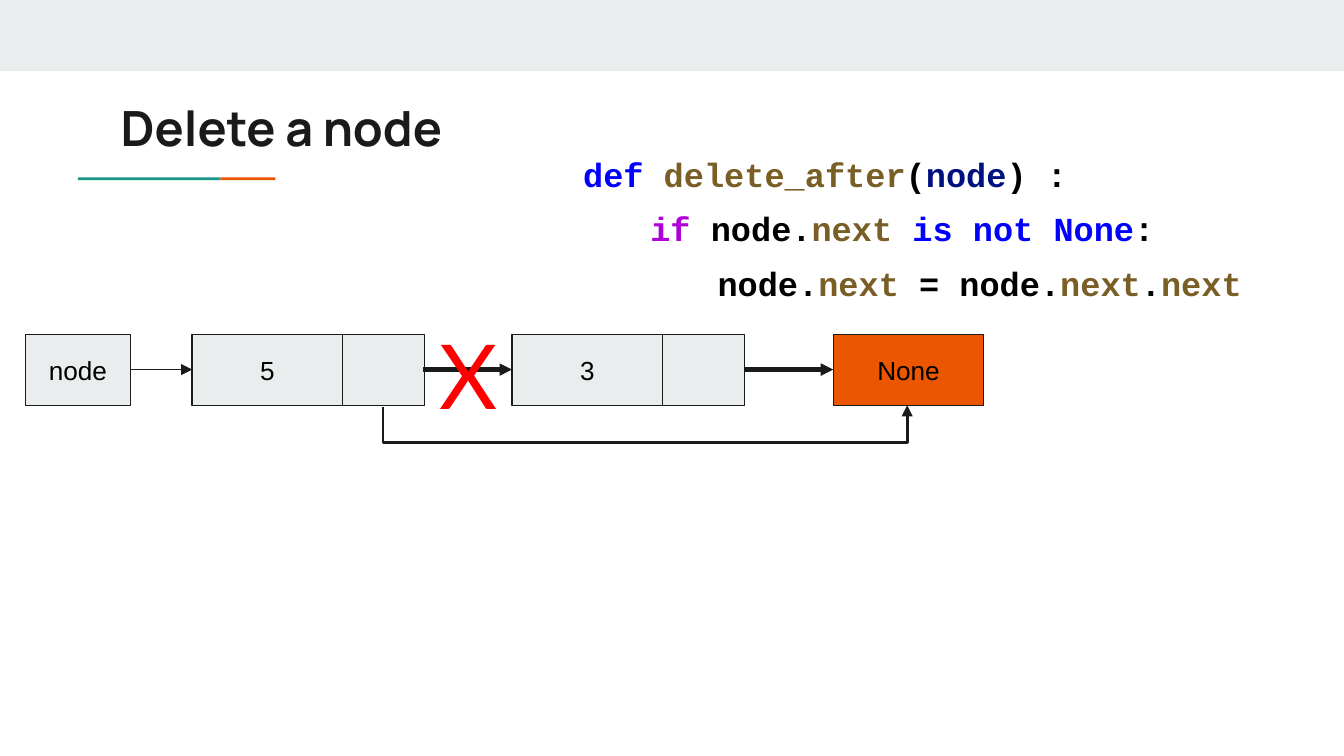
from pptx import Presentation
from pptx.dml.color import RGBColor as Color
from pptx.enum.shapes import MSO_CONNECTOR as Link, MSO_SHAPE as Shape
from pptx.enum.text import MSO_ANCHOR as Anchor, PP_ALIGN as Align
from pptx.oxml.ns import qn
from pptx.util import Inches, Pt
from lxml.etree import SubElement

INK = Color(0x1A, 0x1A, 0x1A)
BLACK = Color(0, 0, 0)
GREY = Color(0xE9, 0xED, 0xEE)
ORANGE = Color(0xEB, 0x56, 0x00)
TEAL = Color(0x1A, 0x99, 0x88)
RED = Color(0xFF, 0, 0)
BLUE = Color(0, 0, 0xFF)
BROWN = Color(0x79, 0x5E, 0x26)
NAVY = Color(0, 0x10, 0x80)
PURPLE = Color(0xAF, 0, 0xDB)

PAGE_WIDTH = 10
PAGE_HEIGHT = PAGE_WIDTH * 9 / 16
NODE_TOP, NODE_HEIGHT = 2.49, 0.53
VALUE_WIDTH, LINK_WIDTH = 1.12, 0.61
ARROW_Y = 2.75
CODE = [
    (0, 0, [("def", BLUE), (" ", BLACK), ("delete_after", BROWN), ("(", BLACK),
            ("node", NAVY), (") :", BLACK)]),
    (0, 0.5, [("if", PURPLE), (" node.", BLACK), ("next", BROWN), (" ", BLACK),
              ("is", BLUE), (" ", BLACK), ("not", BLUE), (" ", BLACK),
              ("None", BLUE), (":", BLACK)]),
    (0.5, 0.5, [("node.", BLACK), ("next", BROWN), (" = node.", BLACK),
                ("next", BROWN), (".", BLACK), ("next", BROWN)]),
]


def add_span(para, text, *, font="Arial", size=14, color=BLACK, bold=False):
    span = para.add_run()
    span.text = text
    span.font.name = font
    span.font.size = Pt(size)
    span.font.color.rgb = color
    span.font.bold = bold


class Painter:
    """Draws styled elements on the current slide."""

    def __init__(self, page):
        self.page = page

    def frame(self, box, anchor):
        frame = box.text_frame
        frame.word_wrap = True
        frame.vertical_anchor = anchor
        frame.margin_left = frame.margin_right = Inches(0.1)
        frame.margin_top = frame.margin_bottom = Inches(0.1)
        return frame

    def rect(self, left, top, width, height, fill, text="", outlined=False):
        box = self.page.shapes.add_shape(
            Shape.RECTANGLE, Inches(left), Inches(top), Inches(width), Inches(height))
        box.shadow.inherit = False
        box.fill.solid()
        box.fill.fore_color.rgb = fill
        if outlined:
            box.line.color.rgb = INK
            box.line.width = Pt(0.75)
        else:
            box.line.fill.background()
        if text:
            para = self.frame(box, Anchor.MIDDLE).paragraphs[0]
            para.alignment = Align.CENTER
            add_span(para, text)

    def cell(self, left, width, text="", fill=GREY):
        self.rect(left, NODE_TOP, width, NODE_HEIGHT, fill, text, outlined=True)

    def node(self, left, value):
        self.cell(left, VALUE_WIDTH, value)
        self.cell(left + VALUE_WIDTH, LINK_WIDTH)

    def text_box(self, left, top, width, height):
        box = self.page.shapes.add_textbox(
            Inches(left), Inches(top), Inches(width), Inches(height))
        return self.frame(box, Anchor.TOP)

    def label(self, left, top, width, height, text, **style):
        add_span(self.text_box(left, top, width, height).paragraphs[0], text, **style)

    def code(self, left, top, width, height, lines):
        frame = self.text_box(left, top, width, height)
        for number, (margin, indent, spans) in enumerate(lines):
            para = frame.add_paragraph() if number else frame.paragraphs[0]
            para.line_spacing = 1.35
            props = para._p.get_or_add_pPr()
            props.set("marL", str(Inches(margin)))
            props.set("indent", str(Inches(indent)))
            for text, color in spans:
                add_span(para, text, font="Courier New", size=18, color=color, bold=True)

    def arrow(self, start, end, weight, kind=Link.STRAIGHT):
        link = self.page.shapes.add_connector(kind, *map(Inches, (*start, *end)))
        link.line.color.rgb = INK
        link.line.width = Pt(weight)
        SubElement(link.line._get_or_add_ln(), qn("a:tailEnd"), type="triangle")
        SubElement(link._element.spPr, qn("a:effectLst"))
        return link

    def bypass(self, start_x, end_x, bottom, drop, weight):
        rise = 0.01
        middle, half = (start_x + end_x) / 2, (end_x - start_x) / 2
        link = self.arrow((middle - rise / 2, bottom - half),
                          (middle + rise / 2, bottom + half), weight, Link.ELBOW)
        props = link._element.spPr
        props.find(qn("a:xfrm")).set("rot", str(270 * 60000))
        bends = props.find(qn("a:prstGeom")).find(qn("a:avLst"))
        SubElement(bends, qn("a:gd"), name="adj1",
                   fmla=f"val {round(-drop / rise * 100000)}")


def main():
    deck = Presentation()
    deck.slide_width, deck.slide_height = Inches(PAGE_WIDTH), Inches(PAGE_HEIGHT)
    painter = Painter(deck.slides.add_slide(deck.slide_layouts[6]))

    painter.rect(0, 0, PAGE_WIDTH, 0.53, GREY)
    painter.rect(1.64, 1.32, 0.41, 0.02, ORANGE)
    painter.rect(0.58, 1.32, 1.06, 0.02, TEAL)
    painter.label(0.8, 0.63, 8.41, 0.59, "Delete a node",
                  font="Manrope", size=26, color=INK, bold=True)
    painter.code(4.24, 0.94, 5.61, 1.4, CODE)

    painter.cell(0.19, 0.78, "node")
    painter.node(1.43, "5")
    painter.node(3.81, "3")
    painter.cell(6.2, VALUE_WIDTH, "None", ORANGE)
    for start, end, weight in [(0.97, 1.43, 0.75), (3.15, 3.81, 2.25), (5.54, 6.2, 2.25)]:
        painter.arrow((start, ARROW_Y), (end, ARROW_Y), weight)
    painter.label(3.17, 2.28, 0.62, 0.82, "X", font="Lato", size=48, color=RED)
    painter.bypass(2.85, 6.75, NODE_TOP + NODE_HEIGHT, 0.27, 1.5)

    deck.save("out.pptx")


if __name__ == "__main__":
    main()
